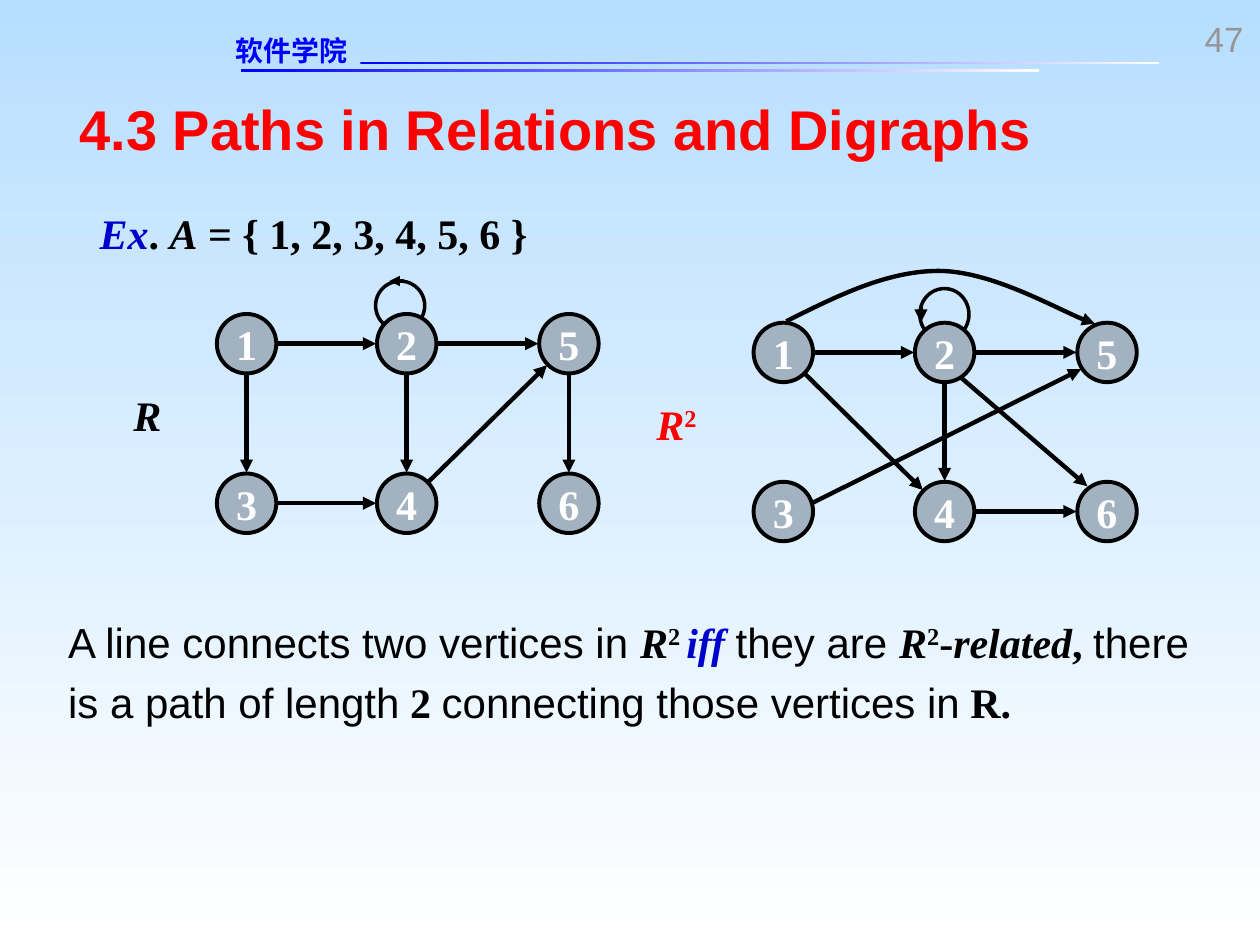
import math
import pptx
import pptx.util
import pptx.dml.color
import pptx.enum.shapes
import pptx.enum.text
import pptx.oxml.ns
from lxml import etree

Pt = pptx.util.Pt
SHAPES = pptx.enum.shapes.MSO_SHAPE
ALIGN = pptx.enum.text.PP_ALIGN
qn = pptx.oxml.ns.qn

COLORS = {"sky": "B7DEFF", "white": "FFFFFF", "blue": "0000FF", "ink": "000000",
          "accent": "0000CC", "red": "FF0000", "gray": "969696", "node": "A3B2C1"}
SERIF, SANS, CJK = "Times New Roman", "Arial", "DejaVu Sans"

# Text boxes: left, top, width, height, alignment, line spacing, runs
# Runs: text, size, font, colour, style (b bold, i italic, ^ superscript)
TEXTS = [
    (134.6, 19.4, 104.4, 19.4, ALIGN.LEFT, 1, [("软件学院", 16, CJK, "blue", "b")]),
    (656.6, 10.1, 54, 23.8, ALIGN.RIGHT, 1, [("47", 20, SANS, "gray", "")]),
    (45.4, 54, 644.4, 38.2, ALIGN.LEFT, 1,
     [("4.3 Paths in Relations and Digraphs", 32, SANS, "red", "b")]),
    (56.9, 113, 536.4, 34.6, ALIGN.LEFT, 1.2, [
        ("Ex", 24, SERIF, "accent", "bi"), (". ", 24, SERIF, "ink", "b"),
        ("A", 24, SERIF, "ink", "bi"), (" = { 1, 2, 3, 4, 5, 6 }", 24, SERIF, "ink", "b")]),
    (76.3, 222.5, 17.3, 28.8, ALIGN.LEFT, 1, [("R", 24, SERIF, "ink", "bi")]),
    (375.1, 227.5, 25.2, 28.8, ALIGN.LEFT, 1,
     [("R", 24, SERIF, "red", "bi"), ("2", 24, SERIF, "red", "b^")]),
    (38.9, 346.3, 644.4, 69.1, ALIGN.LEFT, 1.2, [
        ("A line connects two vertices in ", 24, SANS, "ink", ""),
        ("R", 24, SERIF, "ink", "bi"), ("2 ", 24, SERIF, "ink", "b^"),
        ("iff ", 24, SERIF, "accent", "bi"), ("they are ", 24, SANS, "ink", ""),
        ("R", 24, SERIF, "ink", "bi"), ("2", 24, SERIF, "ink", "b^"),
        ("-", 24, SERIF, "ink", "b"), ("related", 24, SERIF, "ink", "bi"),
        (", ", 24, SERIF, "ink", "b"), ("there is a path of length", 24, SANS, "ink", ""),
        (" 2 ", 24, SERIF, "ink", "b"), ("connecting those vertices in", 24, SANS, "ink", ""),
        (" R.", 24, SERIF, "ink", "b")]),
]

HEADER_RULES = [(137.5, 39.6), (205.9, 35.3)]

# Digraphs: node centres on a grid, arrows between nodes, self-loop of node 2
NODE_ROWS = ["125", "346"]
DIAMETER, TRIM = 34, 17.5
GRAPHS = [
    {"columns": [140.9, 232.4, 325.1], "rows": [196.4, 287.6],
     "edges": ["12", "13", "25", "34", "24", "45", "56"],
     "loop": (214.6, 160.6, 28.1, 28.1), "loop_arrow": (231.1, 160.6, 222.5, 160.6, 2),
     "arrows": []},
    {"columns": [447.6, 539.8, 632.6], "rows": [201.4, 292.3],
     "edges": ["12", "25", "24", "14", "46"],
     "loop": (525.6, 164.9, 28.1, 29.5), "loop_arrow": (526.3, 175.7, 526.3, 184.3, 2.5),
     "arrows": [(549.4, 216, 621.4, 277.9, 2.5), (464.4, 287.3, 617.8, 211, 2.5)]},
]
# Arc from 1 to 5: start point, then the control and end points of two Bezier pieces
ARC = [(449.3, 183.6), (478.1, 169.2), (506.9, 154.8), (536.4, 154.8),
       (565.9, 154.8), (612.7, 181.4), (625.7, 185)]


def rgb(name):
    return pptx.dml.color.RGBColor.from_string(COLORS[name])


def set_gradient(fill, start, end, angle):
    fill.gradient()
    fill.gradient_angle = angle
    for stop, name in zip(fill.gradient_stops, (start, end)):
        stop.color.rgb = rgb(name)


def set_line(shape, width, arrow=False):
    shape.line.color.rgb = rgb("ink")
    shape.line.width = Pt(width)
    if arrow:
        ln = shape.line._get_or_add_ln()
        etree.SubElement(ln, qn("a:tailEnd"), type="triangle")


def add_runs(p, runs):
    for text, size, font, color, style in runs:
        r = p.add_run()
        r.text = text
        r.font.size, r.font.name = Pt(size), font
        r.font.bold, r.font.italic = "b" in style, "i" in style
        r.font.color.rgb = rgb(color)
        if "^" in style:
            r.font._element.set("baseline", "30000")
        if font == CJK:
            etree.SubElement(r.font._element, qn("a:ea"), typeface=font)


def add_text(s, left, top, width, height, align, spacing, runs):
    tf = s.shapes.add_textbox(Pt(left), Pt(top), Pt(width), Pt(height)).text_frame
    tf.word_wrap = True
    tf.margin_left = tf.margin_right = tf.margin_top = tf.margin_bottom = 0
    p = tf.paragraphs[0]
    p.alignment, p.line_spacing = align, spacing
    add_runs(p, runs)


def add_shape(s, kind, left, top, width, height):
    sp = s.shapes.add_shape(kind, Pt(left), Pt(top), Pt(width), Pt(height))
    sp.shadow.inherit = False
    return sp


def add_arrow(s, x1, y1, x2, y2, width):
    line = s.shapes.add_connector(pptx.enum.shapes.MSO_CONNECTOR.STRAIGHT,
                                  Pt(x1), Pt(y1), Pt(x2), Pt(y2))
    set_line(line, width, arrow=True)
    etree.SubElement(line._element.spPr, qn("a:effectLst"))


def add_node(s, label, x, y):
    sp = add_shape(s, SHAPES.OVAL, x - DIAMETER / 2, y - DIAMETER / 2, DIAMETER, DIAMETER)
    sp.fill.solid()
    sp.fill.fore_color.rgb = rgb("node")
    set_line(sp, 2.25)
    tf = sp.text_frame
    tf.word_wrap = False
    tf.vertical_anchor = pptx.enum.text.MSO_ANCHOR.MIDDLE
    tf.paragraphs[0].alignment = ALIGN.CENTER
    add_runs(tf.paragraphs[0], [(label, 24, SERIF, "white", "b")])


def add_graph(s, graph):
    loop = add_shape(s, SHAPES.OVAL, *graph["loop"])
    loop.fill.background()
    set_line(loop, 2)
    add_arrow(s, *graph["loop_arrow"])
    centers = {label: (x, y) for labels, y in zip(NODE_ROWS, graph["rows"])
               for label, x in zip(labels, graph["columns"])}
    for label, (x, y) in centers.items():
        add_node(s, label, x, y)
    # Edges run from rim to rim along the line between the centres
    for start, end in graph["edges"]:
        (x1, y1), (x2, y2) = centers[start], centers[end]
        share = TRIM / math.dist((x1, y1), (x2, y2))
        dx, dy = (x2 - x1) * share, (y2 - y1) * share
        add_arrow(s, x1 + dx, y1 + dy, x2 - dx, y2 - dy, 2.5)
    for arrow in graph["arrows"]:
        add_arrow(s, *arrow)


def add_arc(s, points):
    pts = [(Pt(x), Pt(y)) for x, y in points]
    builder = s.shapes.build_freeform(*pts[0])
    builder.add_line_segments(pts[1:], close=False)
    arc = builder.convert_to_shape()
    arc.shadow.inherit = False
    arc.fill.background()
    set_line(arc, 2.5, arrow=True)
    # Every three line segments become one cubic curve
    path = arc._element.find(".//" + qn("a:path"))
    segments = path.findall(qn("a:lnTo"))
    for i in range(0, len(segments), 3):
        curve = etree.SubElement(path, qn("a:cubicBezTo"))
        for segment in segments[i:i + 3]:
            curve.append(segment[0])
            path.remove(segment)


def main():
    prs = pptx.Presentation()
    prs.slide_width, prs.slide_height = Pt(720), Pt(540)
    s = prs.slides.add_slide(prs.slide_layouts[6])
    set_gradient(s.background.fill, "sky", "white", 270)

    # Header rules
    for left, top in HEADER_RULES:
        rule = add_shape(s, SHAPES.RECTANGLE, left, top, 456.5, 1.6)
        set_gradient(rule.fill, "blue", "white", 0)
        rule.line.fill.background()

    # Text and digraphs
    for text in TEXTS:
        add_text(s, *text)
    for graph in GRAPHS:
        add_graph(s, graph)
    add_arc(s, ARC)
    prs.save("out.pptx")


if __name__ == "__main__":
    main()
